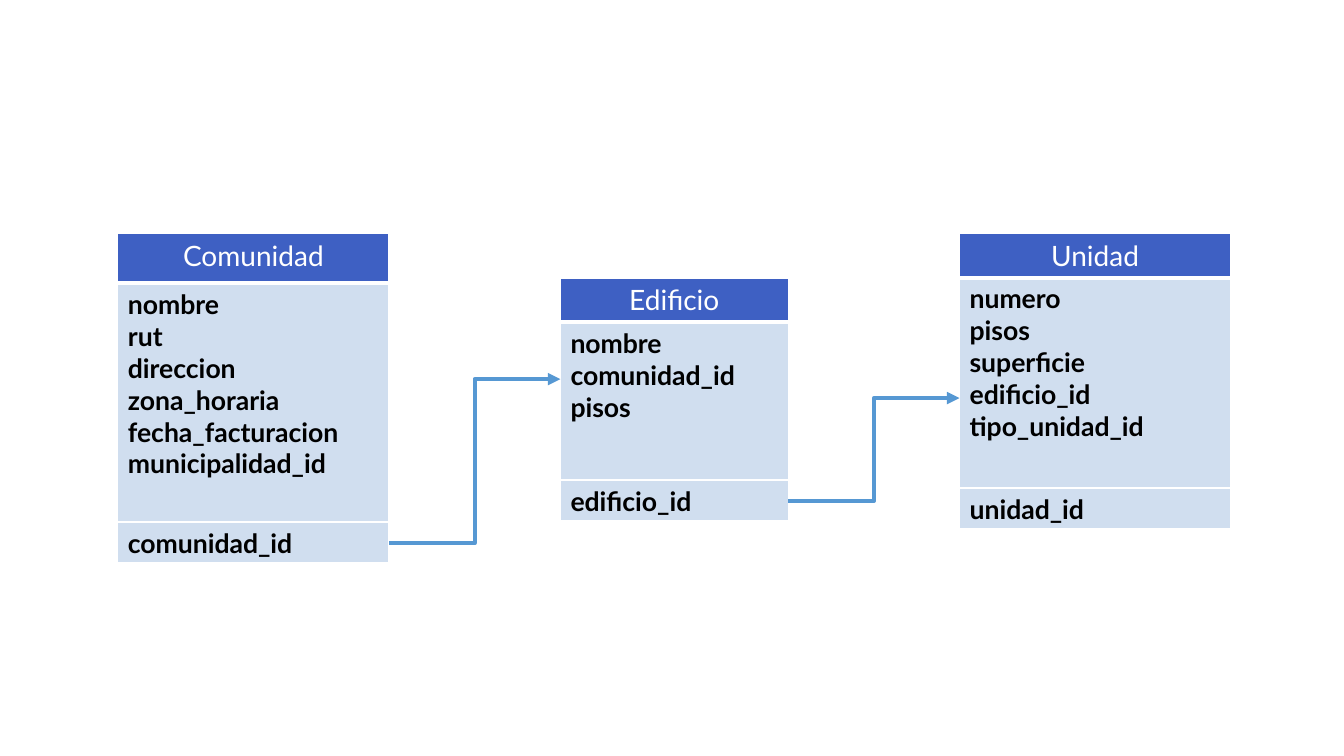
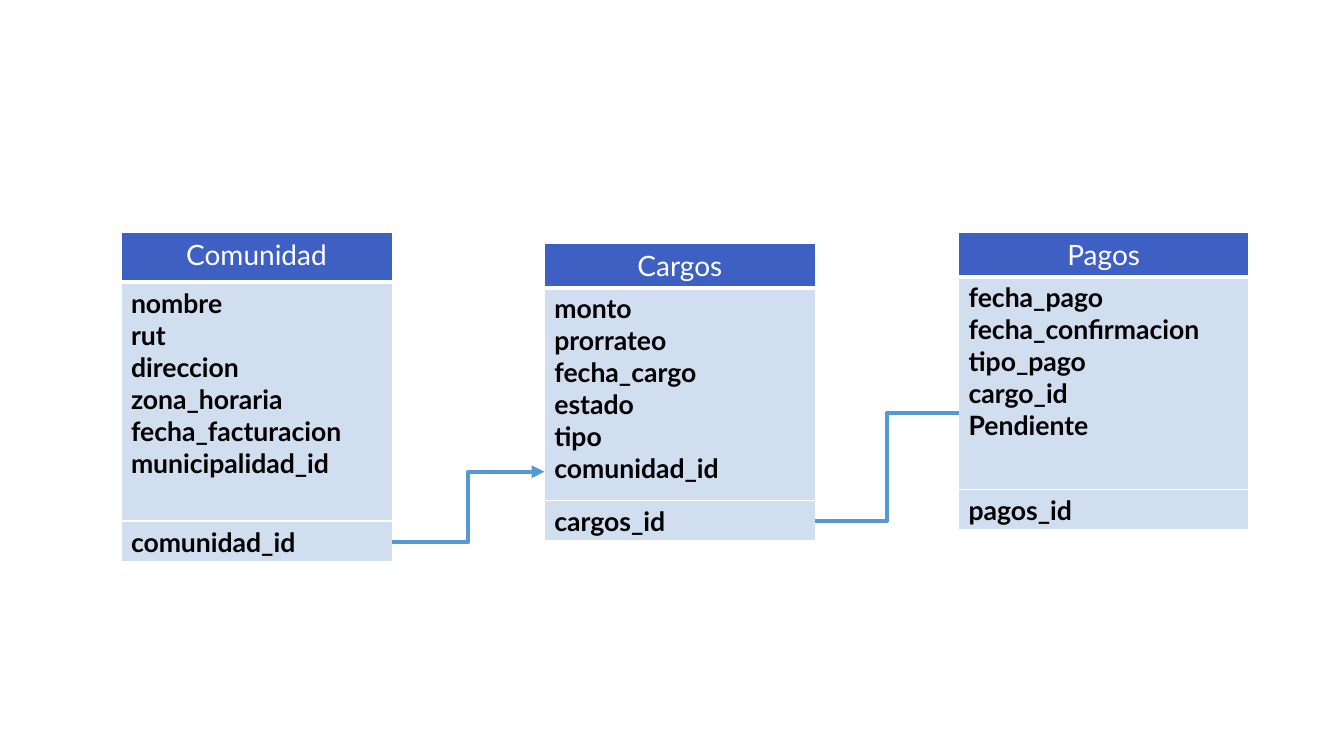
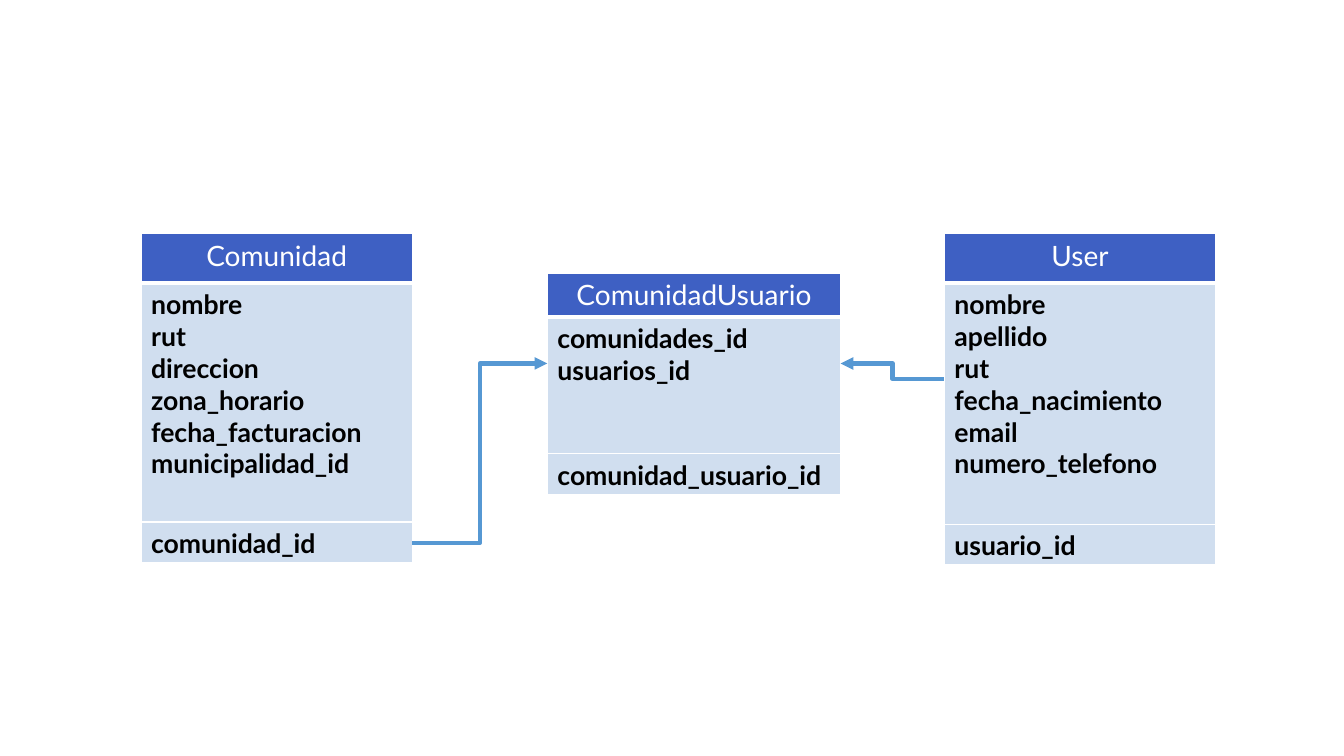
from dataclasses import dataclass, replace

from lxml.etree import SubElement as Sub
from pptx import Presentation
from pptx.dml.color import RGBColor as Rgb
from pptx.enum.shapes import MSO_CONNECTOR as Conn
from pptx.enum.text import PP_ALIGN as Align
from pptx.oxml.ns import qn
from pptx.slide import Slide
from pptx.util import Pt

HUES = {"head": "3E60C3", "body": "D0DEEF", "link": "5698D3",
        "edge": "FFFFFF", "light": "FFFFFF", "dark": "000000"}
FONT = "Lato"
KEY = 30  # height of a key row
HEAD = {"size": Pt(20), "bold": False, "name": FONT}
BODY = {"size": Pt(19), "bold": True, "name": FONT}


@dataclass(frozen=True)
class Row:
    lines: list[str]
    high: float
    fill: str
    ink: str
    font: dict
    align: Align
    base: float  # width of the bottom border


@dataclass(frozen=True)
class Entity:
    name: str
    fields: str
    key: str
    left: float
    top: float
    wide: float = 193.7
    body: float = 151.9
    head: float = 31.2

    @property
    def right(self) -> float:
        return self.left + self.wide

    @property
    def low(self) -> float:
        return self.top + self.head + self.body

    @property
    def mid(self) -> float:
        return (self.top + self.low) / 2


@dataclass(frozen=True)
class Link:
    """Runs from the right of one entity to the left of another."""
    start: Entity
    end: Entity
    to: float
    at: float | None = None  # None means the middle of the key row
    tip: str = "tailEnd"


def add_edge(cell, base: float) -> None:
    props = cell._tc.get_or_add_tcPr()
    for side in "LRTB":
        width = base if side == "B" else 1
        line = Sub(props, qn(f"a:ln{side}"), w=str(Pt(width)))
        fill = Sub(line, qn("a:solidFill"))
        Sub(fill, qn("a:srgbClr"), val=HUES["edge"])


def add_rows(slide: Slide, rows: list[Row], left: float, top: float, wide: float) -> None:
    high = sum(row.high for row in rows)
    table = slide.shapes.add_table(
        len(rows), 1, Pt(left), Pt(top), Pt(wide), Pt(high)).table
    table.first_row = table.horz_banding = False
    for i, row in enumerate(rows):
        table.rows[i].height = Pt(row.high)
        cell = table.cell(i, 0)
        add_edge(cell, row.base)
        cell.fill.solid()
        cell.fill.fore_color.rgb = Rgb.from_string(HUES[row.fill])
        cell.text = "\n".join(row.lines)
        for para in cell.text_frame.paragraphs:
            para.alignment = row.align
            for run in para.runs:
                for name, value in row.font.items():
                    setattr(run.font, name, value)
                run.font.color.rgb = Rgb.from_string(HUES[row.ink])


def add_entity(slide: Slide, item: Entity) -> None:
    head = Row([item.name], item.head, "head", "light", HEAD, Align.CENTER, 3)
    body = Row(item.fields.split(), item.body, "body", "dark", BODY, Align.LEFT, 1)
    key = replace(body, lines=[item.key], high=KEY, base=3)
    add_rows(slide, [head, body], item.left, item.top, item.wide)
    add_rows(slide, [key], item.left, item.low, item.wide)


def add_link(slide: Slide, link: Link) -> None:
    at = link.start.low + KEY / 2 if link.at is None else link.at
    line = slide.shapes.add_connector(
        Conn.ELBOW, Pt(link.start.right), Pt(at), Pt(link.end.left), Pt(link.to))
    line.line.color.rgb = Rgb.from_string(HUES["link"])
    line.line.width = Pt(3)
    if link.tip:
        Sub(line.line._get_or_add_ln(), qn(f"a:{link.tip}"), type="triangle")
    Sub(line._element.spPr, qn("a:effectLst"))


def main() -> None:
    deck = Presentation()
    deck.slide_width, deck.slide_height = Pt(960), Pt(540)

    town = Entity(
        "Comunidad",
        "nombre rut direccion zona_horaria fecha_facturacion municipalidad_id",
        "comunidad_id", 84.2, 167, body=170.6, head=35.3)
    block = Entity("Edificio", "nombre comunidad_id pisos", "edificio_id",
                   400.3, 198.7, 162.7, 113)
    unit = Entity("Unidad", "numero pisos superficie edificio_id tipo_unidad_id",
                  "unidad_id", 685.4, 167, body=150.4)

    payer = replace(town, left=86.4, top=166.3)
    charge = Entity("Cargos", "monto prorrateo fecha_cargo estado tipo comunidad_id",
                    "cargos_id", 388.8, 174.2)
    paid = Entity("Pagos", "fecha_pago fecha_confirmacion tipo_pago cargo_id Pendiente",
                  "pagos_id", 684.7, 166.3, 207.4)

    group = replace(town, left=100.8,
                    fields=town.fields.replace("horaria", "horario"))
    member = Entity("ComunidadUsuario", "comunidades_id usuarios_id",
                    "comunidad_usuario_id", 391, 195.1, 209.5, 97.9)
    user = Entity(
        "User", "nombre apellido rut fecha_nacimiento email numero_telefono",
        "usuario_id", 674.6, 167, body=172.1, head=35.3)

    pages = [
        ([town, block, unit],
         [Link(town, block, block.mid), Link(block, unit, 284.4)]),
        ([payer, charge, paid],
         [Link(payer, charge, 337), Link(charge, paid, 295.2, tip="")]),
        ([group, member, user],
         [Link(group, member, member.mid),
          Link(member, user, user.mid, member.mid, "headEnd")]),
    ]
    for items, links in pages:
        slide = deck.slides.add_slide(deck.slide_layouts[6])
        for item in items:
            add_entity(slide, item)
        for link in links:
            add_link(slide, link)
    deck.save("out.pptx")


if __name__ == "__main__":
    main()
